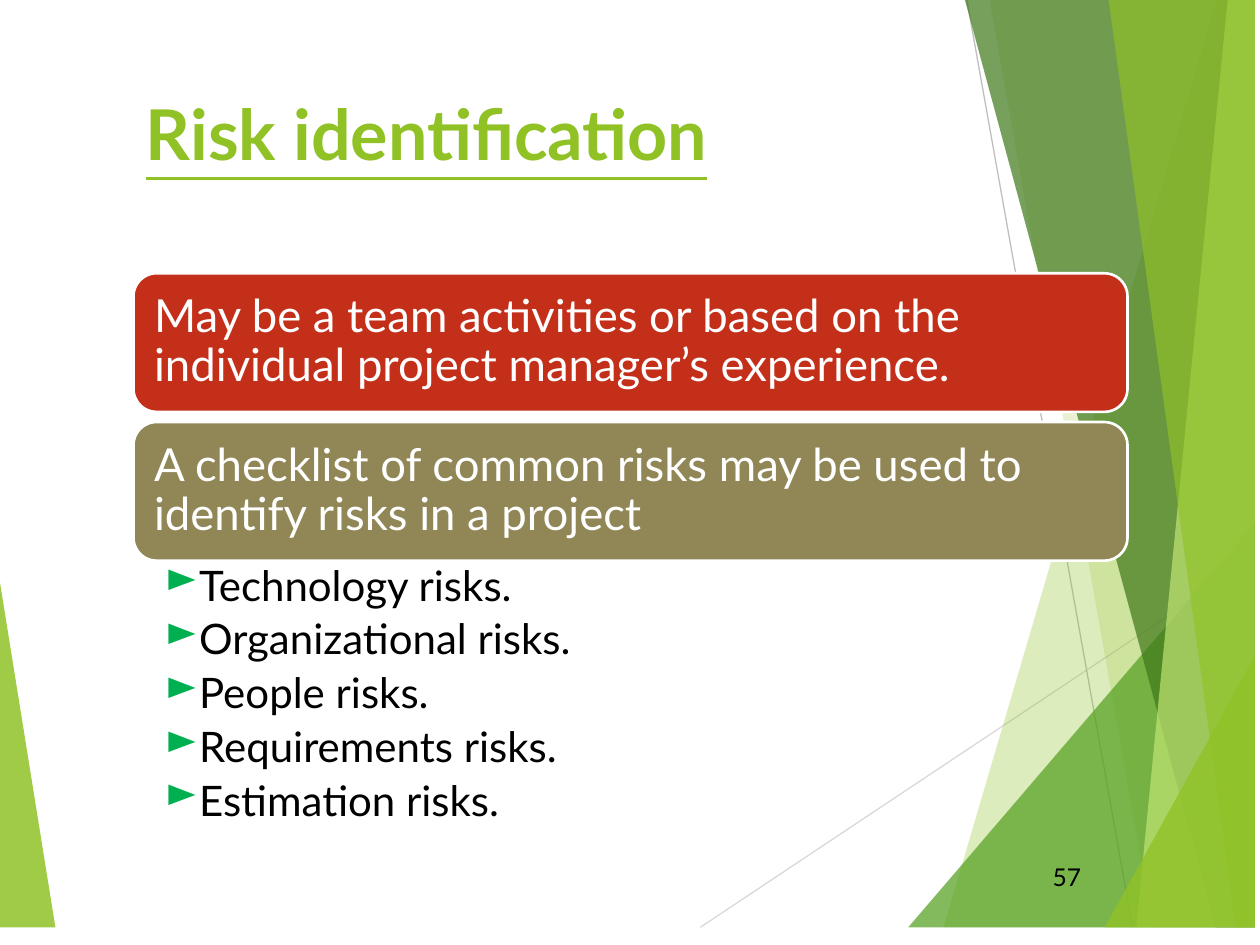
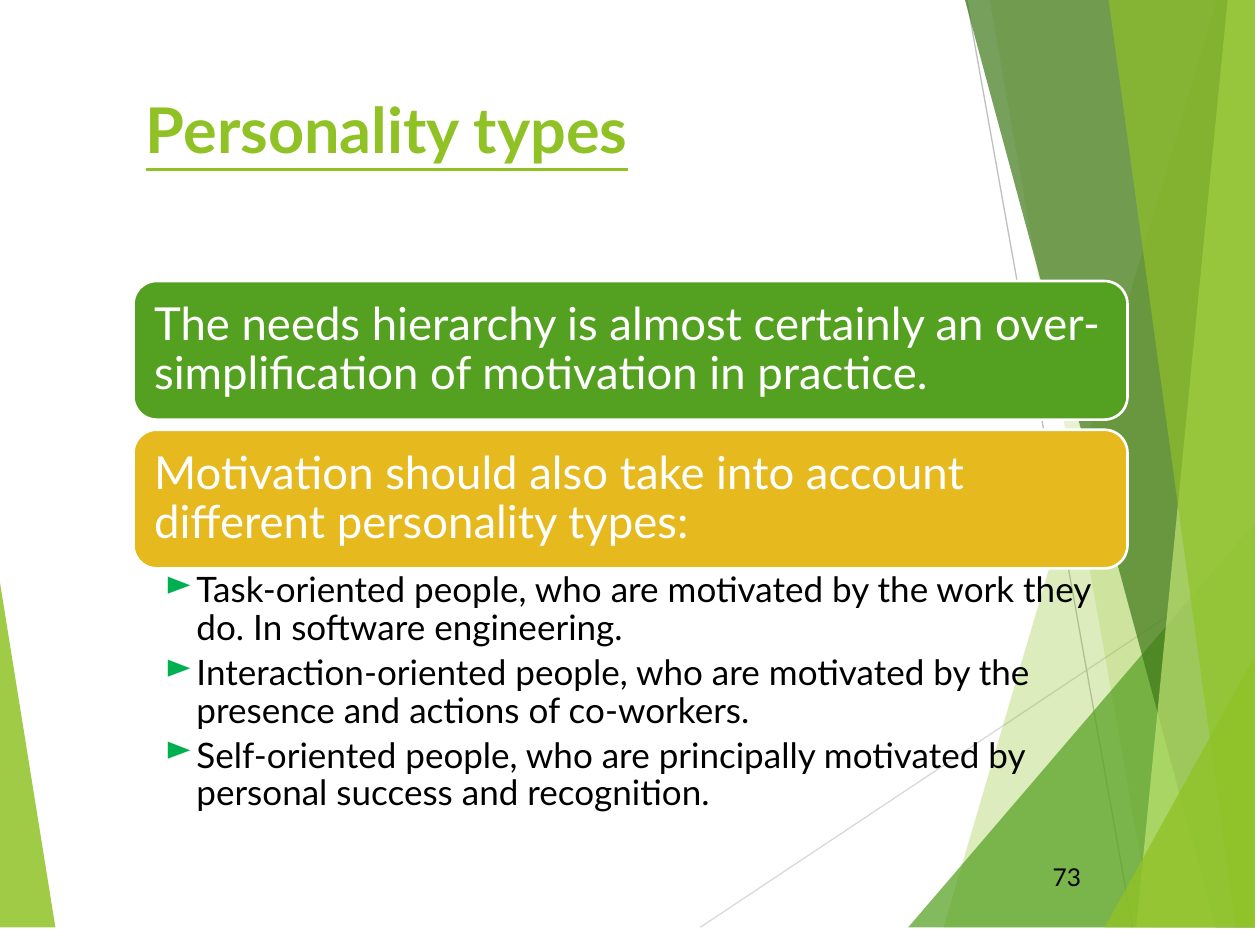
"""Build two slides on risk identification and personality types."""
from collections import namedtuple

from lxml.etree import SubElement
from pptx import Presentation
from pptx.dml.color import RGBColor
from pptx.enum.shapes import MSO_CONNECTOR as Connector, MSO_SHAPE as Preset
from pptx.enum.text import MSO_ANCHOR as Anchor, PP_ALIGN as Align
from pptx.oxml.ns import qn
from pptx.util import Pt

Box = namedtuple("Box", "left top width height")
Facet = namedtuple("Facet", "top_x top_y bottom_x color opacity")

FONT = "Lato"
COLORS = {
    "lime": "90C226", "green": "54A021", "forest": "3F7819", "pale": "C0E474",
    "red": "C42F1A", "olive": "918655", "gold": "E6B91E", "bullet": "00B050",
    "white": "FFFFFF", "black": "000000", "gray": "BFBFBF", "silver": "D9D9D9",
}
SLIDE = Box(0, 0, 720, 540)
LEFT_WEDGE = Box(-4.3, 306, 36, 224)
FACET_BAND = Box(519, -10.8, 198, 540.7)
TITLE = Box(76.3, 48.2, 602, 86.4)
PAGE_NUMBER = Box(584.6, 486.7, 40.3, 28.8)
BAND_HEIGHT = 79.2
BAND_PITCH = 85
INDENT = 18

FACETS = [
    Facet(179.3, 0, 20.2, "lime", 30),
    Facet(44.6, 0, 139.7, "lime", 20),
    Facet(198, 309.6, 0, "green", 72),
    Facet(29.5, 0, 175.7, "forest", 70),
    Facet(183.6, 0, 130.3, "pale", 70),
    Facet(113, 0, 187.2, "lime", 65),
    Facet(198, 385.9, 112.3, "lime", 80),
]
HAIRLINES = [
    ((-118.8, 540.7), (198, 329.8), "silver"),
    ((31.7, 0.7), (128.2, 540.7), "gray"),
]
CONTENTS = [
    {
        "title": "Risk identification", "title_size": 40, "number": "57",
        "stack": Box(76.3, 156.2, 568, 317), "list_size": 24,
        "bands": [
            ("May be a team activities or based on the individual project manager’s experience.", "red"),
            ("A checklist of common risks may be used to identify risks in a project", "olive"),
        ],
        "items": ["Technology risks.", "Organizational risks.", "People risks.",
                  "Requirements risks.", "Estimation risks."],
    },
    {
        "title": "Personality types", "title_size": 36, "number": "73",
        "stack": Box(76.3, 160.6, 568, 308), "list_size": 20,
        "bands": [
            ("The needs hierarchy is almost certainly an over-simplification of motivation in practice.", "green"),
            ("Motivation should also take into account different personality types:", "gold"),
        ],
        "items": [
            "Task-oriented people, who are motivated by the work they do. In software engineering.",
            "Interaction-oriented people, who are motivated by the presence and actions of co-workers.",
            "Self-oriented people, who are principally motivated by personal success and recognition.",
        ],
    },
]


def rgb(name):
    """Return the named colour."""
    return RGBColor.from_string(COLORS[name])


def in_points(box):
    """Return the four lengths of a box as Pt."""
    return [Pt(length) for length in box]


def add_run(paragraph, text, size, color, bold=False, underline=False):
    """Add one styled run to a paragraph."""
    run = paragraph.add_run()
    run.text = text
    run.font.name = FONT
    run.font.size = Pt(size)
    run.font.color.rgb = rgb(color)
    run.font.bold = bold
    run.font.underline = underline


def set_frame(shape, anchor=Anchor.TOP, margins=(7.2, 3.6, 7.2, 3.6)):
    """Wrap the text of a shape, set its anchor and margins, and return its frame."""
    frame = shape.text_frame
    frame.word_wrap = True
    frame.vertical_anchor = anchor
    (frame.margin_left, frame.margin_top,
     frame.margin_right, frame.margin_bottom) = in_points(margins)
    return frame


def add_polygon(slide, box, points, color, opacity):
    """Draw a translucent polygon whose points are relative to the box."""
    corners = [(Pt(box.left + x), Pt(box.top + y)) for x, y in points]
    builder = slide.shapes.build_freeform(*corners[0])
    builder.add_line_segments(corners[1:], close=True)
    shape = builder.convert_to_shape()
    shape.shadow.inherit = False
    shape.line.fill.background()
    shape.fill.solid()
    shape.fill.fore_color.rgb = rgb(color)
    color_element = shape.fill._xPr.find(".//" + qn("a:srgbClr"))
    SubElement(color_element, qn("a:alpha"), val=str(opacity * 1000))


def add_hairline(slide, box, start, end, color):
    """Draw a thin line between two points relative to the box."""
    ends = [Pt(offset + value) for point in (start, end)
            for offset, value in zip((box.left, box.top), point)]
    line = slide.shapes.add_connector(Connector.STRAIGHT, *ends)
    line.line.color.rgb = rgb(color)
    line.line.width = Pt(0.75)
    SubElement(line._element.spPr, qn("a:effectLst"))


def add_left_wedge(slide, box):
    """Draw the wedge at the left edge."""
    points = [(0, 0), (box.width, box.height), (0, box.height)]
    add_polygon(slide, box, points, "lime", 85)


def add_facet_band(slide, box):
    """Draw the hairlines and overlapping facets at the right edge."""
    for start, end, color in HAIRLINES:
        add_hairline(slide, box, start, end, color)
    for facet in FACETS:
        points = [(facet.top_x, facet.top_y), (facet.bottom_x, box.height),
                  (box.width, box.height), (box.width, facet.top_y)]
        add_polygon(slide, box, points, facet.color, facet.opacity)


def add_title(slide, box, text, size):
    """Add the underlined title."""
    frame = set_frame(slide.shapes.add_textbox(*in_points(box)))
    add_run(frame.paragraphs[0], text, size, "lime", bold=True, underline=True)


def add_page_number(slide, box, number):
    """Add the page number, aligned right."""
    frame = set_frame(slide.shapes.add_textbox(*in_points(box)), Anchor.MIDDLE)
    paragraph = frame.paragraphs[0]
    paragraph.alignment = Align.RIGHT
    add_run(paragraph, number, 14, "black")


def add_band(slide, box, text, color):
    """Add one rounded statement band."""
    shape = slide.shapes.add_shape(Preset.ROUNDED_RECTANGLE, *in_points(box))
    shape.shadow.inherit = False
    shape.fill.solid()
    shape.fill.fore_color.rgb = rgb(color)
    shape.line.color.rgb = rgb("white")
    shape.line.width = Pt(1.5)
    paragraph = set_frame(shape, Anchor.MIDDLE, (7.9,) * 4).paragraphs[0]
    paragraph.alignment = Align.LEFT
    paragraph.line_spacing = 0.9
    add_run(paragraph, text, 26, "white")


def set_bullet(paragraph):
    """Give a paragraph a hanging green arrow bullet."""
    properties = paragraph._p.get_or_add_pPr()
    properties.set("marL", str(Pt(INDENT)))
    properties.set("indent", str(-Pt(INDENT)))
    bullet_color = SubElement(properties, qn("a:buClr"))
    SubElement(bullet_color, qn("a:srgbClr"), val=COLORS["bullet"])
    SubElement(properties, qn("a:buChar"), char="►")


def add_bullet_list(slide, box, items, size):
    """Add the bulleted list."""
    shape = slide.shapes.add_textbox(*in_points(box))
    frame = set_frame(shape, margins=(18, 2.4, 13.8, 2.4))
    for index, item in enumerate(items):
        paragraph = frame.add_paragraph() if index else frame.paragraphs[0]
        paragraph.line_spacing = 0.9
        paragraph.space_after = Pt(0.2 * size)
        set_bullet(paragraph)
        add_run(paragraph, item, size, "black")


def add_stack(slide, box, bands, items, size):
    """Stack the bands at the top of the box and the list below them."""
    for index, (text, color) in enumerate(bands):
        band_box = box._replace(top=box.top + index * BAND_PITCH, height=BAND_HEIGHT)
        add_band(slide, band_box, text, color)
    used = (len(bands) - 1) * BAND_PITCH + BAND_HEIGHT
    list_box = box._replace(top=box.top + used, height=box.height - used)
    add_bullet_list(slide, list_box, items, size)


def add_content_slide(presentation, content):
    """Add one slide with its decoration, title, number and stack."""
    slide = presentation.slides.add_slide(presentation.slide_layouts[6])
    add_left_wedge(slide, LEFT_WEDGE)
    add_facet_band(slide, FACET_BAND)
    add_title(slide, TITLE, content["title"], content["title_size"])
    add_page_number(slide, PAGE_NUMBER, content["number"])
    add_stack(slide, content["stack"], content["bands"], content["items"], content["list_size"])


def main():
    """Build and save the presentation."""
    presentation = Presentation()
    presentation.slide_width = Pt(SLIDE.width)
    presentation.slide_height = Pt(SLIDE.height)
    for content in CONTENTS:
        add_content_slide(presentation, content)
    presentation.save("out.pptx")


if __name__ == "__main__":
    main()
